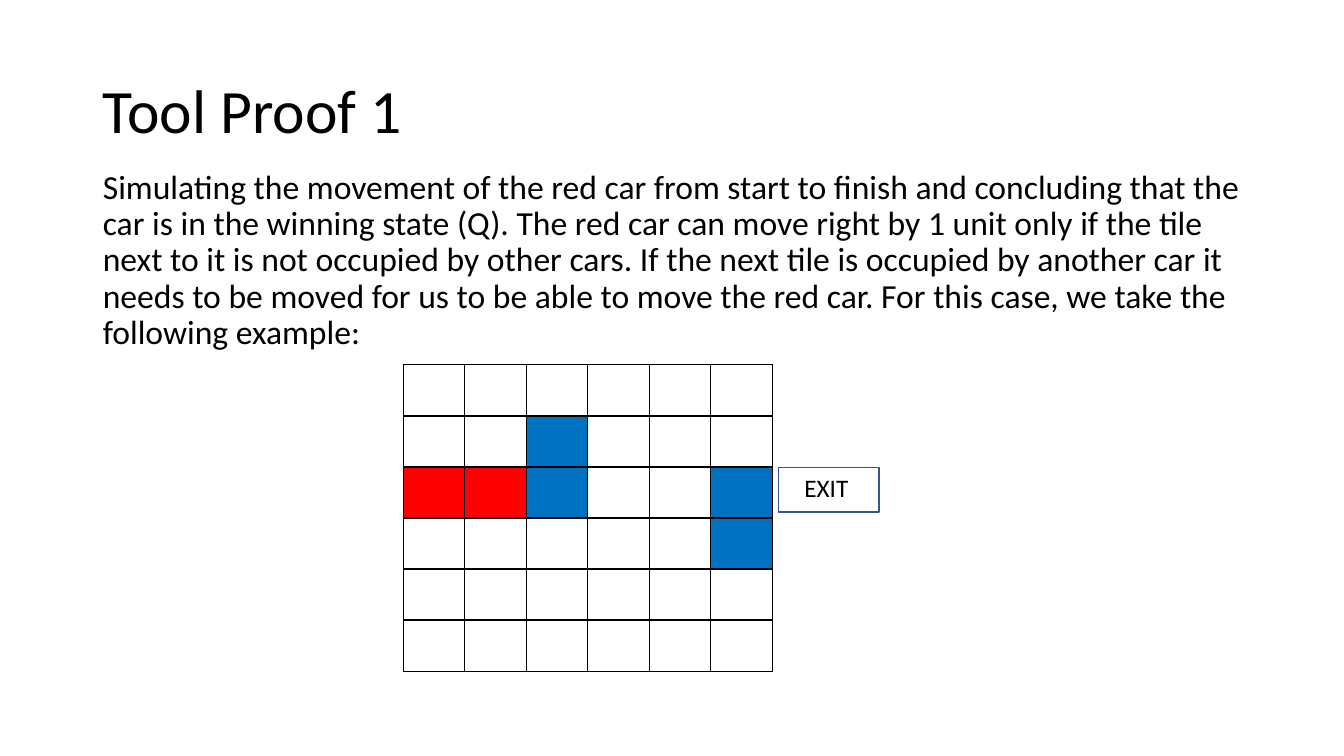
from lxml import etree
from pptx import Presentation
from pptx.dml.color import RGBColor
from pptx.enum import shapes, text
from pptx.oxml import ns
from pptx.util import Inches, Pt

FONT = "Calibri"
BLACK, WHITE, RED, BLUE, EXIT_LINE = "000000", "FFFFFF", "FF0000", "0070C0", "325491"
INTRO = (
    "Simulating the movement of the red car from start to finish and concluding "
    "that the car is in the winning state (Q). The red car can move right by 1 unit "
    "only if the tile next to it is not occupied by other cars. If the next tile is "
    "occupied by another car it needs to be moved for us to be able to move the red "
    "car. For this case, we take the following example:"
)
# One letter per tile: R is the red car, B a blue car, a dot is free.
BOARD = ["......", "..B...", "RRB..B", ".....B", "......", "......"]
CAR_COLOURS = {"R": RED, "B": BLUE}
BOARD_WIDTH, BOARD_HEIGHT = 3.66, 3.04


def colour(code):
    return RGBColor.from_string(code)


def place(shape, left, top, width, height):
    shape.left, shape.top = Inches(left), Inches(top)
    shape.width, shape.height = Inches(width), Inches(height)


def write(shape, words, size, anchor=text.MSO_ANCHOR.TOP, spacing=1.0, before=0):
    frame = shape.text_frame
    frame.text = words
    frame.word_wrap = True
    frame.auto_size = text.MSO_AUTO_SIZE.NONE
    frame.vertical_anchor = anchor
    para = frame.paragraphs[0]
    para.alignment = text.PP_ALIGN.LEFT
    para.line_spacing = spacing
    para.space_before = Pt(before)
    para.font.name = FONT
    para.font.size = Pt(size)
    para.font.color.rgb = colour(BLACK)
    return para


def remove_bullet(para):
    properties = para._p.get_or_add_pPr()
    properties.set("marL", "0")
    properties.set("indent", "0")
    etree.SubElement(properties, ns.qn("a:buNone"))


def outline_cell(cell):
    properties = cell._tc.get_or_add_tcPr()
    for index, side in enumerate(("lnL", "lnR", "lnT", "lnB")):
        line = etree.Element(ns.qn(f"a:{side}"), w=str(Pt(1)))
        fill = etree.SubElement(line, ns.qn("a:solidFill"))
        etree.SubElement(fill, ns.qn("a:srgbClr"), val=BLACK)
        properties.insert(index, line)


def add_board(page, left, top):
    rows, columns = len(BOARD), len(BOARD[0])
    board = page.shapes.add_table(
        rows, columns, Inches(left), Inches(top), Inches(BOARD_WIDTH), Inches(BOARD_HEIGHT)
    ).table
    board.first_row = board.horz_banding = False
    for row, tiles in zip(board.rows, BOARD):
        for cell, tile in zip(row.cells, tiles):
            if tile in CAR_COLOURS:
                cell.fill.solid()
                cell.fill.fore_color.rgb = colour(CAR_COLOURS[tile])
            else:
                cell.fill.background()
            outline_cell(cell)


def add_exit(page):
    gate = page.shapes.add_shape(
        shapes.MSO_SHAPE.RECTANGLE, Inches(7.72), Inches(4.64), Inches(1), Inches(0.44)
    )
    gate.shadow.inherit = False
    gate.fill.solid()
    gate.fill.fore_color.rgb = colour(WHITE)
    gate.line.color.rgb = colour(EXIT_LINE)
    gate.line.width = Pt(1)
    label = page.shapes.add_textbox(Inches(7.88), Inches(4.64), Inches(0.96), Inches(0.71))
    write(label, "EXIT", 18)


def main():
    deck = Presentation()
    deck.slide_width, deck.slide_height = Inches(13.33), Inches(7.5)
    page = deck.slides.add_slide(deck.slide_layouts[1])
    title, body = page.placeholders
    place(title, 0.92, 0.4, 11.5, 1.45)
    write(title, "Tool Proof 1", 44, text.MSO_ANCHOR.MIDDLE, spacing=0.9)
    place(body, 0.92, 1.64, 11.5, 5.91)
    remove_bullet(write(body, INTRO, 24, spacing=0.9, before=10))
    add_board(page, 4, 3.62)
    add_exit(page)
    deck.save("out.pptx")


if __name__ == "__main__":
    main()
